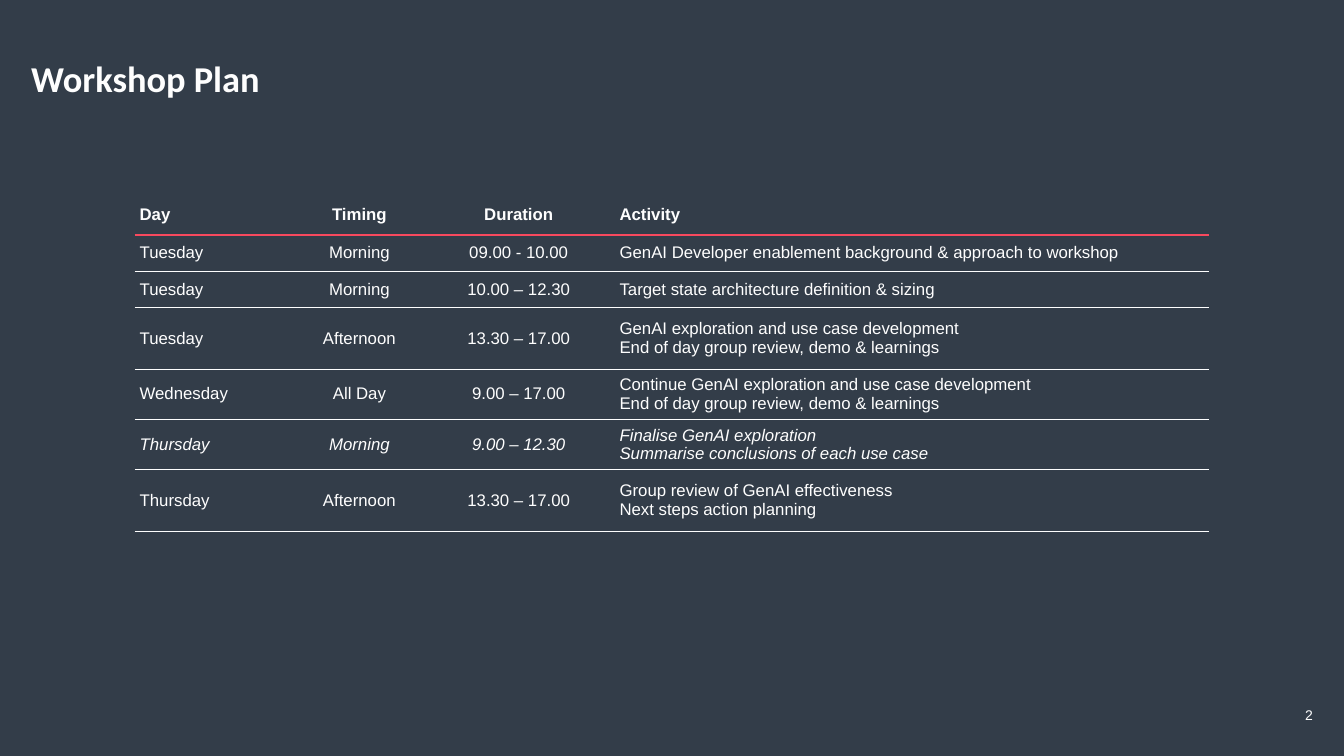
from lxml import etree
from pptx import Presentation
from pptx import util as u
from pptx.dml.color import RGBColor
from pptx.enum import text
from pptx.oxml import ns

WIDTH, HEIGHT = 13.33, 7.5
WHITE, RED, NAVY = "FEFEFE", "F8495E", "333D49"
LEFT, CENTER, RIGHT = text.PP_ALIGN.LEFT, text.PP_ALIGN.CENTER, text.PP_ALIGN.RIGHT

COLUMNS = [(1.6, LEFT), (1.26, CENTER), (1.9, CENTER), (5.9, LEFT)]
# Row height, italic, cell texts
PLAN = [
    (0.4, False, ["Day", "Timing", "Duration", "Activity"]),
    (0.36, False, ["Tuesday", "Morning", "09.00 - 10.00",
                   "GenAI Developer enablement background & approach to workshop"]),
    (0.36, False, ["Tuesday", "Morning", "10.00 – 12.30",
                   "Target state architecture definition & sizing"]),
    (0.61, False, ["Tuesday", "Afternoon", "13.30 – 17.00",
                   "GenAI exploration and use case development\n"
                   "End of day group review, demo & learnings"]),
    (0.36, False, ["Wednesday", "All Day", "9.00 – 17.00",
                   "Continue GenAI exploration and use case development\n"
                   "End of day group review, demo & learnings"]),
    (0.36, True, ["Thursday", "Morning", "9.00 – 12.30",
                  "Finalise GenAI exploration\nSummarise conclusions of each use case"]),
    (0.61, False, ["Thursday", "Afternoon", "13.30 – 17.00",
                   "Group review of GenAI effectiveness\nNext steps action planning"]),
]


def color(value):
    return RGBColor.from_string(value)


def write(frame, words, size=12, font="Arial", bold=False, italic=False,
          align=LEFT, spacing=None, inset=0):
    """Fill a text frame, one paragraph a line."""
    frame.text = words
    for para in frame.paragraphs:
        para.alignment = align
        para.line_spacing = spacing
        for span in para.runs:
            span.font.size = u.Pt(size)
            span.font.name = font
            span.font.bold = bold
            span.font.italic = italic
            span.font.color.rgb = color(WHITE)
    frame.margin_left = frame.margin_right = u.Inches(inset)
    frame.margin_top = frame.margin_bottom = u.Inches(inset)


def border(cell, side, value=None, width=0.5):
    """Draw one side of a cell, or clear it when no colour is given."""
    line = etree.SubElement(cell._tc.get_or_add_tcPr(), ns.qn("a:ln" + side),
                            w=str(u.Pt(width)))
    if value is None:
        etree.SubElement(line, ns.qn("a:noFill"))
    else:
        fill = etree.SubElement(line, ns.qn("a:solidFill"))
        etree.SubElement(fill, ns.qn("a:srgbClr"), val=value)


def add_title(page, left, top, width, height):
    title = page.shapes.title
    title.left, title.top, title.width, title.height = map(
        u.Inches, (left, top, width, height))
    write(title.text_frame, "Workshop Plan", size=26, font="Calibri", bold=True,
          spacing=1.05)
    title.text_frame.auto_size = text.MSO_AUTO_SIZE.NONE
    title.text_frame.vertical_anchor = text.MSO_ANCHOR.BOTTOM


def add_plan(page, left, top, width, height):
    table = page.shapes.add_table(len(PLAN), len(COLUMNS),
                                  *map(u.Inches, (left, top, width, height))).table
    table.horz_banding = False
    for column, (share, _) in zip(table.columns, COLUMNS):
        column.width = u.Inches(share)
    rules = [(None, 0.5), (RED, 1.5)] + [(WHITE, 0.5)] * (len(PLAN) - 1)
    for index, (row_height, italic, words) in enumerate(PLAN):
        table.rows[index].height = u.Inches(row_height)
        for number, (_, align) in enumerate(COLUMNS):
            cell = table.cell(index, number)
            write(cell.text_frame, words[number], bold=index == 0, italic=italic,
                  align=align)
            cell.margin_left = cell.margin_right = u.Inches(0.05)
            cell.margin_top = cell.margin_bottom = u.Inches(0.05)
            cell.vertical_anchor = text.MSO_ANCHOR.MIDDLE
            border(cell, "L")
            border(cell, "R")
            border(cell, "T", *rules[index])
            border(cell, "B", *rules[index + 1])
            cell.fill.background()


def add_page_number(page, left, top, width, height):
    box = page.shapes.add_textbox(*map(u.Inches, (left, top, width, height)))
    write(box.text_frame, "2", size=10, align=RIGHT)
    box.text_frame.word_wrap = True
    box.text_frame.vertical_anchor = text.MSO_ANCHOR.BOTTOM


def main():
    deck = Presentation()
    deck.slide_width, deck.slide_height = u.Inches(WIDTH), u.Inches(HEIGHT)
    page = deck.slides.add_slide(deck.slide_layouts[5])
    page.background.fill.solid()
    page.background.fill.fore_color.rgb = color(NAVY)

    table_width = sum(share for share, _ in COLUMNS)
    table_height = sum(row[0] for row in PLAN)
    margin = 0.31
    add_page_number(page, WIDTH - margin - 0.37, 6.95, 0.37, 0.23)
    add_plan(page, (WIDTH - table_width) / 2, 1.93, table_width, table_height)
    add_title(page, margin, 0.36, 11.81, 0.63)
    deck.save("out.pptx")


if __name__ == "__main__":
    main()
